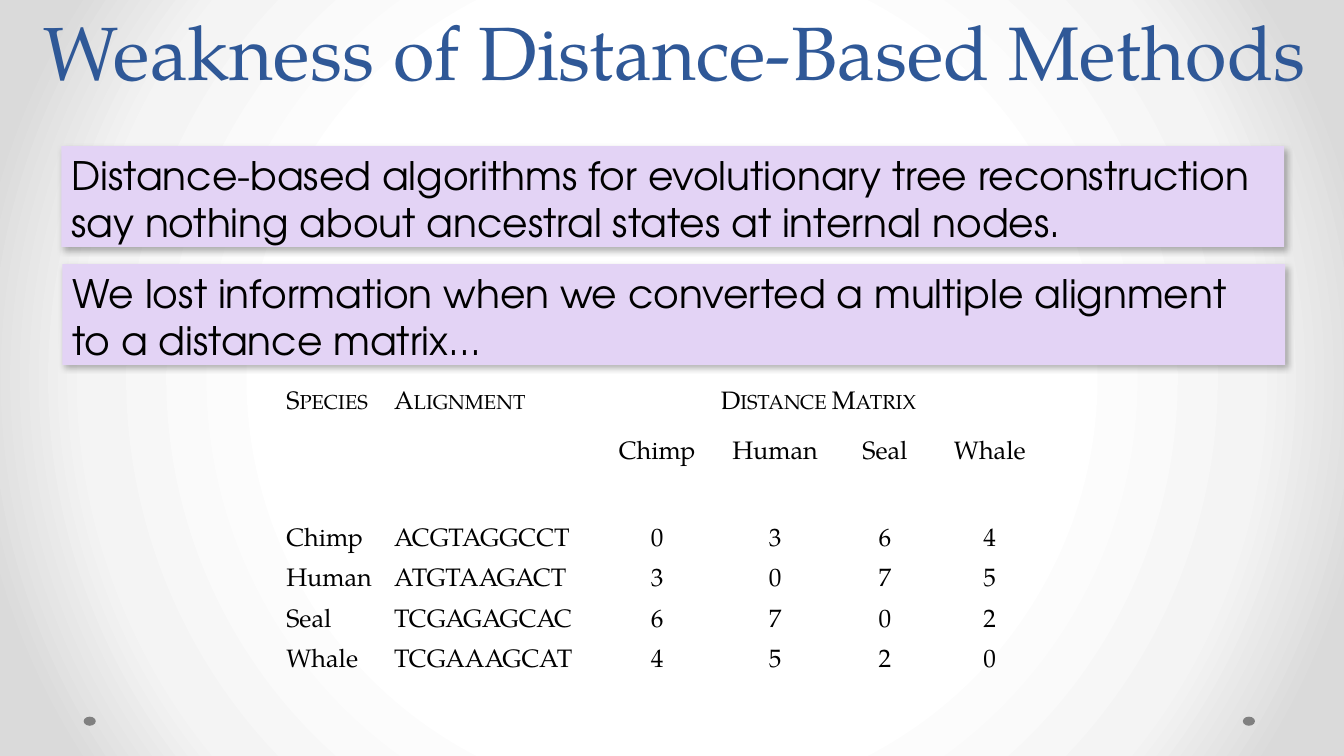
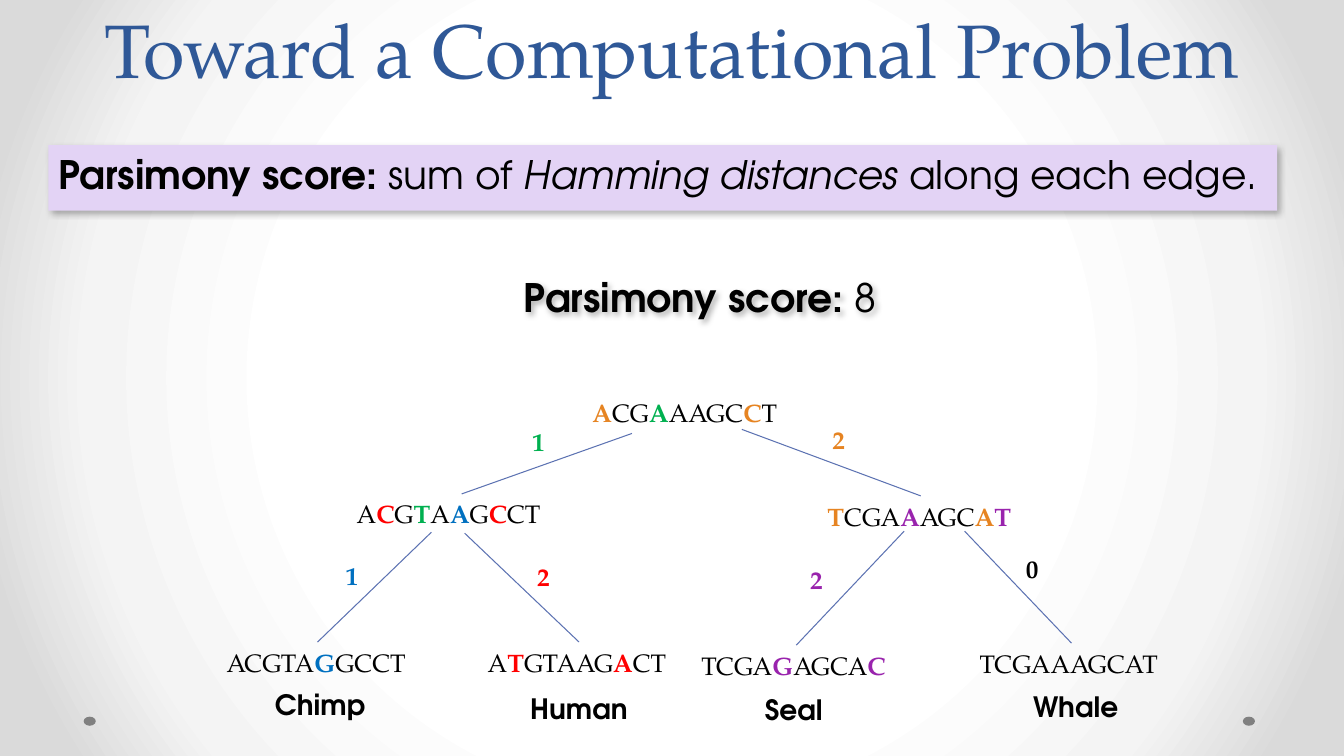
from itertools import groupby

from lxml import etree
from pptx import Presentation
from pptx.dml.color import RGBColor
from pptx.enum.shapes import MSO_CONNECTOR as Link, MSO_SHAPE as Shape
from pptx.enum.text import MSO_ANCHOR as Anchor, MSO_AUTO_SIZE as Fit, PP_ALIGN as Align
from pptx.oxml import parse_xml
from pptx.oxml.ns import nsdecls, qn
from pptx.util import Pt

PX = 9144  # 100 px to the inch
SERIF, SANS = "TeX Gyre Pagella", "TeX Gyre Adventor"
BLACK = RGBColor(0x00, 0x00, 0x00)
NAVY = RGBColor(0x2F, 0x58, 0x97)
LILAC = RGBColor(0xE3, 0xD3, 0xF5)
GREY = RGBColor(0x80, 0x80, 0x80)
STEEL = RGBColor(0x5C, 0x72, 0xB2)
ORANGE = RGBColor(0xE6, 0x84, 0x22)
GREEN = RGBColor(0x00, 0xB0, 0x50)
RED = RGBColor(0xFF, 0x00, 0x00)
BLUE = RGBColor(0x00, 0x70, 0xC0)
PURPLE = RGBColor(0x99, 0x23, 0xAD)
MARKS = {"o": ORANGE, "g": GREEN, "r": RED, "b": BLUE, "p": PURPLE}
NO_STYLE = "{2D5ABB26-0587-4C30-8999-92F81FD0307C}"
STOPS = [(50, "FFFFFF"), (76, "F4F4F4"), (92, "DADADA")]
DOTS = [(83, 711, 12, 9), (1233, 711, 12, 9)]

BARS = [
    ((61, 145, 1213, 100), "Distance-based algorithms for evolutionary tree "
     "reconstruction say nothing about ancestral states at internal nodes."),
    ((62, 262, 1213, 100), "We lost information when we converted a multiple "
     "alignment to a distance matrix..."),
]
HEADS = ["Species", "Alignment", "Distance Matrix"]
SPECIES = [
    ("Chimp", "ACGTAGGCCT", [0, 3, 6, 4]),
    ("Human", "ATGTAAGACT", [3, 0, 7, 5]),
    ("Seal", "TCGAGAGCAC", [6, 7, 0, 2]),
    ("Whale", "TCGAAAGCAT", [4, 5, 2, 0]),
]
COLS = [107, 210, 122, 112, 106, 102]
ROWS = [50, 86] + [40] * len(SPECIES)

RULE = [("Parsimony score: ", {"bold": True}), ("sum of ", {}),
        ("Hamming distances ", {"italic": True}), ("along each edge.", {})]
SCORE = [("Parsimony score: ", {"bold": True}), ("8", {})]
# name: box, sequence, mark of each letter
NODES = {
    "root": ((578, 389, 206, 40), "ACGAAAGCCT", "o--g----o-"),
    "left": ((344, 489, 204, 40), "ACGTAAGCCT", "-r-g-b-r--"),
    "right": ((811, 492, 205, 40), "TCGAAAGCAT", "o---p---op"),
    "Chimp": ((215, 637, 200, 40), "ACGTAGGCCT", "-----b----"),
    "Human": ((474, 637, 201, 40), "ATGTAAGACT", "-r-----r--"),
    "Seal": ((686, 640, 208, 40), "TCGAGAGCAC", "----p----p"),
    "Whale": ((962, 638, 202, 40), "TCGAAAGCAT", "----------"),
}
LABELS = [("Chimp", (263, 677, 110, 44)), ("Human", (516, 681, 118, 44)),
          ("Seal", (749, 682, 78, 44)), ("Whale", (1015, 679, 105, 44))]
# start, end, node joined at its top, weight, weight place, weight colour
EDGES = [
    ((627, 430), (458, 490), None, "1", (518, 418), GREEN),
    ((736, 426), (908, 490), "right", "2", (816, 416), ORANGE),
    ((428, 528), (315, 640), "Chimp", "1", (333, 551), BLUE),
    ((461, 529), (571, 640), "Human", "2", (523, 552), RED),
    ((897, 527), (784, 640), "Seal", "2", (794, 555), PURPLE),
    ((957, 527), (1063, 640), "Whale", "0", (1008, 544), BLACK),
]


def emu(*lengths):
    return [round(n * PX) for n in lengths]


def write(frame, text, size=18, face=SERIF, color=BLACK, bold=False,
          align=Align.LEFT, small=False):
    """Fill the first paragraph with a string or a list of (text, format)."""
    para = frame.paragraphs[0]
    para.alignment = align
    for words, look in [(text, {})] if isinstance(text, str) else text:
        run = para.add_run()
        run.text = words
        font = run.font
        font.size, font.name = Pt(size), face
        font.bold = look.get("bold", bold)
        font.italic = look.get("italic", False)
        font.color.rgb = look.get("color", color)
        if small:
            run._r.get_or_add_rPr().set("cap", "small")
    return para


def add_text(slide, box, text, wrap=False, fill=None, shade=False, **look):
    shape = slide.shapes.add_textbox(*emu(*box))
    frame = shape.text_frame
    frame.word_wrap = wrap
    frame.auto_size = Fit.NONE if wrap else Fit.SHAPE_TO_FIT_TEXT
    write(frame, text, **look)
    if fill is not None:
        shape.fill.solid()
        shape.fill.fore_color.rgb = fill
    if shade:
        shape._element.spPr.append(parse_xml(
            f'<a:effectLst {nsdecls("a")}><a:outerShdw blurRad="57150" '
            'dist="33020" dir="3180000" algn="tl" rotWithShape="0">'
            '<a:srgbClr val="000000"><a:alpha val="30000"/></a:srgbClr>'
            '</a:outerShdw></a:effectLst>'))
    return shape


def add_bar(slide, box, text, **look):
    add_text(slide, box, text, wrap=True, fill=LILAC, shade=True,
             size=28, face=SANS, **look)


def set_ground(master):
    fill = master.background.fill
    fill.gradient()
    old = master._element.find(".//" + qn("a:gradFill"))
    stops = "".join(f'<a:gs pos="{pos * 1000}"><a:srgbClr val="{hue}"/></a:gs>'
                    for pos, hue in STOPS)
    old.getparent().replace(old, parse_xml(
        f'<a:gradFill {nsdecls("a")} rotWithShape="1"><a:gsLst>{stops}</a:gsLst>'
        '<a:path path="circle"><a:fillToRect l="50000" t="50000" r="50000" '
        'b="50000"/></a:path></a:gradFill>'))


def add_slide(deck, title, box):
    slide = deck.slides.add_slide(deck.slide_layouts[5])
    for place in DOTS:
        dot = slide.shapes.add_shape(Shape.OVAL, *emu(*place))
        dot.shadow.inherit = False
        dot.fill.solid()
        dot.fill.fore_color.rgb = GREY
        dot.line.fill.background()
    head = slide.shapes.title
    head.left, head.top, head.width, head.height = emu(*box)
    frame = head.text_frame
    frame.word_wrap, frame.auto_size = True, Fit.NONE
    frame.vertical_anchor = Anchor.BOTTOM
    para = write(frame, title, size=54, color=NAVY, align=Align.CENTER)
    para.line_spacing = Pt(58)
    return slide


def add_matrix(slide):
    box = (274, 388, sum(COLS), sum(ROWS))
    table = slide.shapes.add_table(len(ROWS), len(COLS), *emu(*box)).table
    table.first_row = table.horz_banding = False
    table._tbl.tblPr.find(qn("a:tableStyleId")).text = NO_STYLE
    for col, width in zip(table.columns, emu(*COLS)):
        col.width = width
    for row, height in zip(table.rows, emu(*ROWS)):
        row.height = height
    names = [name for name, _, _ in SPECIES]
    grid = [HEADS, ["", ""] + names]
    grid += [[name, seq, *map(str, gaps)] for name, seq, gaps in SPECIES]
    for r, row in enumerate(grid):
        for c, text in enumerate(row):
            if text:
                write(table.cell(r, c).text_frame, text, small=r == 0,
                      align=Align.CENTER if c > 1 else Align.LEFT)
    for cell in table.iter_cells():
        cell.fill.background()
        cell.margin_top = cell.margin_bottom = 0
    for first, last in [((0, 0), (1, 0)), ((0, 1), (1, 1)), ((0, 2), (0, 5))]:
        table.cell(*first).merge(table.cell(*last))


def paint(seq, marks):
    """Split a sequence into runs of equally marked letters."""
    runs = []
    for mark, pairs in groupby(zip(seq, marks), key=lambda pair: pair[1]):
        look = {"color": MARKS[mark], "bold": True} if mark in MARKS else {}
        runs.append(("".join(letter for letter, _ in pairs), look))
    return runs


def add_tree(slide):
    nodes = {name: add_text(slide, box, paint(seq, marks))
             for name, (box, seq, marks) in NODES.items()}
    for start, end, child, weight, place, color in EDGES:
        edge = slide.shapes.add_connector(Link.STRAIGHT, *emu(*start, *end))
        edge.line.color.rgb = STEEL
        edge.line.width = Pt(0.75)
        etree.SubElement(edge._element.spPr, qn("a:effectLst"))
        if child:
            edge.end_connect(nodes[child], 0)
        add_text(slide, (*place, 33, 40), weight, color=color, bold=True)
    for name, box in LABELS:
        add_text(slide, box, name, size=20, face=SANS, bold=True)


def main():
    deck = Presentation()
    deck.slide_width, deck.slide_height = emu(1333.33, 750)
    set_ground(deck.slide_master)

    slide = add_slide(deck, "Weakness of Distance-Based Methods", (24, 0, 1290, 100))
    for box, text in BARS:
        add_bar(slide, box, text)
    add_matrix(slide)

    slide = add_slide(deck, "Toward a Computational Problem", (67, 0, 1200, 98))
    add_bar(slide, (48, 144, 1219, 65), RULE, align=Align.JUSTIFY)
    add_text(slide, (510, 266, 398, 65), SCORE, wrap=True, shade=True,
             size=28, face=SANS, align=Align.JUSTIFY)
    add_tree(slide)
    deck.save("out.pptx")


if __name__ == "__main__":
    main()
